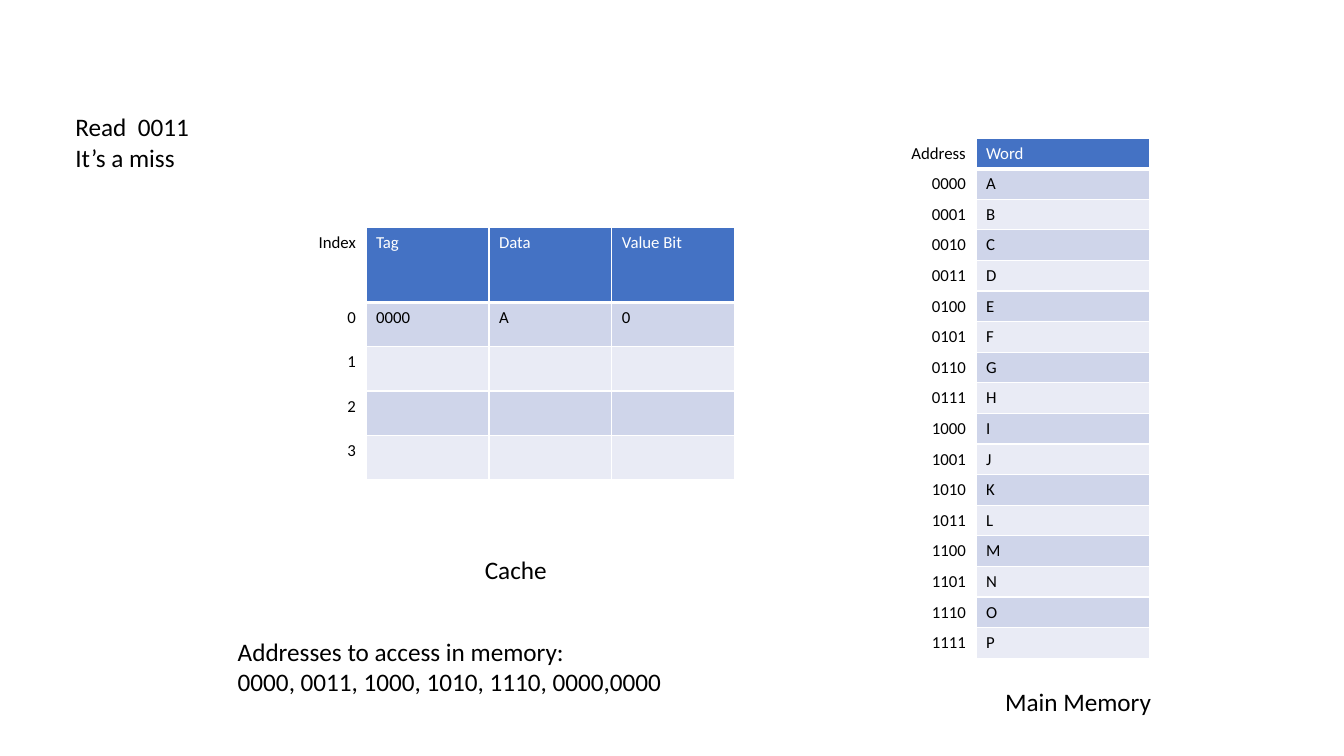
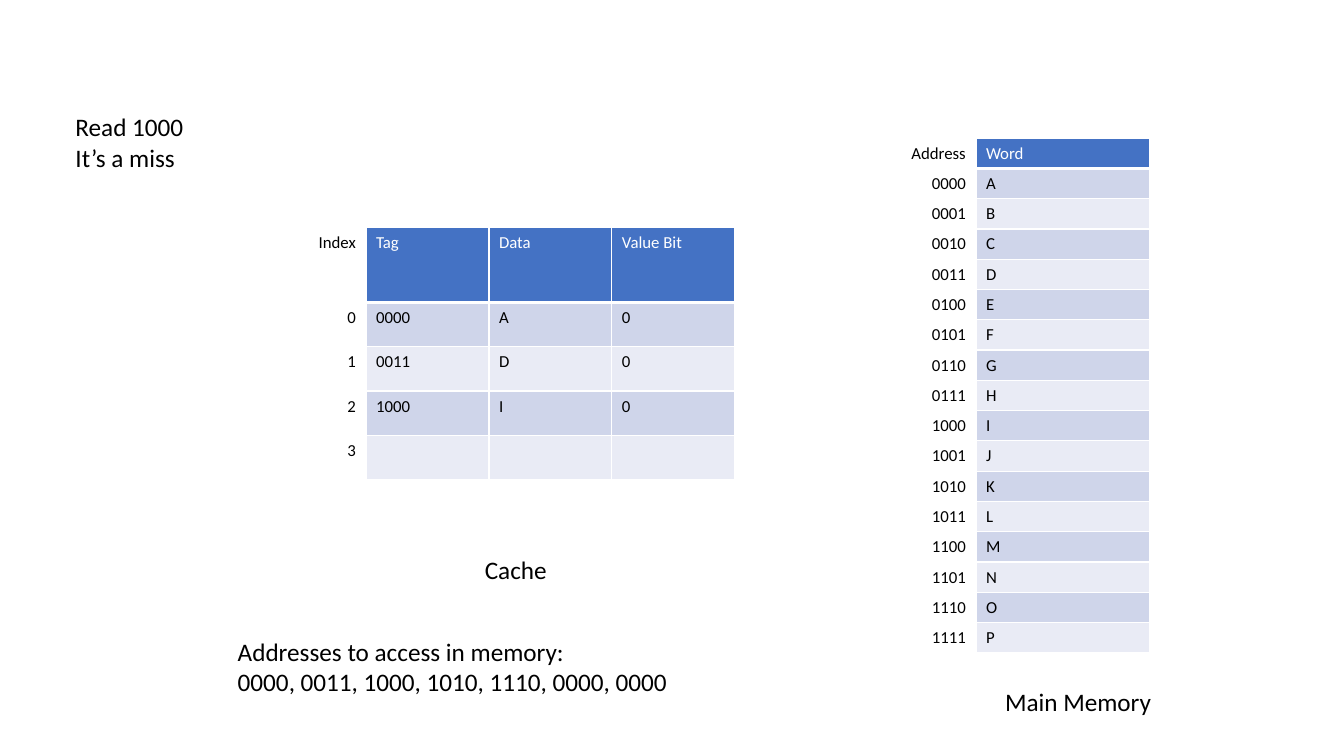
import pptx
import pptx.util
import pptx.dml.color
import pptx.enum.text
import pptx.oxml
from pptx.oxml.ns import nsdecls

Inches = pptx.util.Inches
RGBColor = pptx.dml.color.RGBColor
ALIGN = pptx.enum.text.PP_ALIGN
SIZING = pptx.enum.text.MSO_AUTO_SIZE

BLACK = RGBColor(0x00, 0x00, 0x00)
WHITE = RGBColor(0xFF, 0xFF, 0xFF)
BLUE = RGBColor(0x44, 0x72, 0xC4)
BANDS = [RGBColor(0xCF, 0xD5, 0xEA), RGBColor(0xE9, 0xEB, 0xF5)]
FONT = "Calibri"

LETTERS = "ABCDEFGHIJKLMNOP"
MEMORY = [("Address", "Word")] + [(f"{i:04b}", word) for i, word in enumerate(LETTERS)]
HEADS = ("Index", "Tag", "Data", "Value Bit")
LINES = 4

STEPS = [
    ("Read  0011\nIt’s a miss", 1.34, 1.01, ["0000"],
     "0000, 0011, 1000, 1010, 1110, 0000,0000"),
    ("Read 1000\nIt’s a miss", 1.28, 0.71, ["0000", "0011", "1000"],
     "0000, 0011, 1000, 1010, 1110, 0000, 0000"),
]


def write(frame, text, size=18, color=BLACK, align=ALIGN.LEFT):
    frame.text = text
    for para in frame.paragraphs:
        para.alignment = align
        font = para.font
        font.name = FONT
        font.size = pptx.util.Pt(size)
        font.bold = False
        font.color.rgb = color


def label(slide, text, left, top, width, height, wrap=False):
    box = slide.shapes.add_textbox(Inches(left), Inches(top), Inches(width), Inches(height))
    frame = box.text_frame
    frame.word_wrap = wrap
    frame.auto_size = SIZING.SHAPE_TO_FIT_TEXT
    write(frame, text)


def border(cell, head):
    props = cell._tc.get_or_add_tcPr()
    for side in "LRTB":
        width = pptx.util.Pt(3 if head and side == "B" else 1)
        props.append(pptx.oxml.parse_xml(
            f'<a:ln{side} {nsdecls("a")} w="{width}"><a:solidFill>'
            f'<a:srgbClr val="{WHITE}"/></a:solidFill></a:ln{side}>'))


def style(cell, text, row, col):
    head = row == 0
    border(cell, head)
    if col == 0:
        cell.fill.background()
        write(cell.text_frame, text, size=12, align=ALIGN.RIGHT)
    else:
        cell.fill.solid()
        cell.fill.fore_color.rgb = BLUE if head else BANDS[(row - 1) % 2]
        write(cell.text_frame, text, size=12, color=WHITE if head else BLACK)


def grid(slide, rows, left, top, width, first, height):
    cols = len(rows[0])
    total = first + height * (len(rows) - 1)
    table = slide.shapes.add_table(
        len(rows), cols, Inches(left), Inches(top),
        Inches(width * cols), Inches(total)).table
    table.horz_banding = False
    for col in table.columns:
        col.width = Inches(width)
    for r, texts in enumerate(rows):
        table.rows[r].height = Inches(height if r else first)
        for c, text in enumerate(texts):
            style(table.cell(r, c), text, r, c)


def cache(tags):
    rows = [HEADS]
    for i in range(LINES):
        data = (tags[i], LETTERS[int(tags[i], 2)], "0") if i < len(tags) else ("", "", "")
        rows.append((str(i), *data))
    return rows


def build(slide, note, width, height, tags, trace):
    grid(slide, MEMORY, 7.96, 1.37, 1.72, 0.3, 0.3)
    grid(slide, cache(tags), 2.41, 2.26, 1.22, 0.74, 0.44)
    label(slide, "Cache", 4.71, 5.45, 0.82, 0.4)
    label(slide, "Main Memory", 9.87, 6.76, 1.67, 0.4)
    label(slide, note, 0.65, 1.06, width, height)
    label(slide, f"Addresses to access in memory:\n{trace}", 2.26, 6.26, 6.76, 1.01, wrap=True)


def main():
    deck = pptx.Presentation()
    deck.slide_width = Inches(13.33)
    deck.slide_height = Inches(7.5)
    for step in STEPS:
        build(deck.slides.add_slide(deck.slide_layouts[6]), *step)
    deck.save("out.pptx")


if __name__ == "__main__":
    main()
